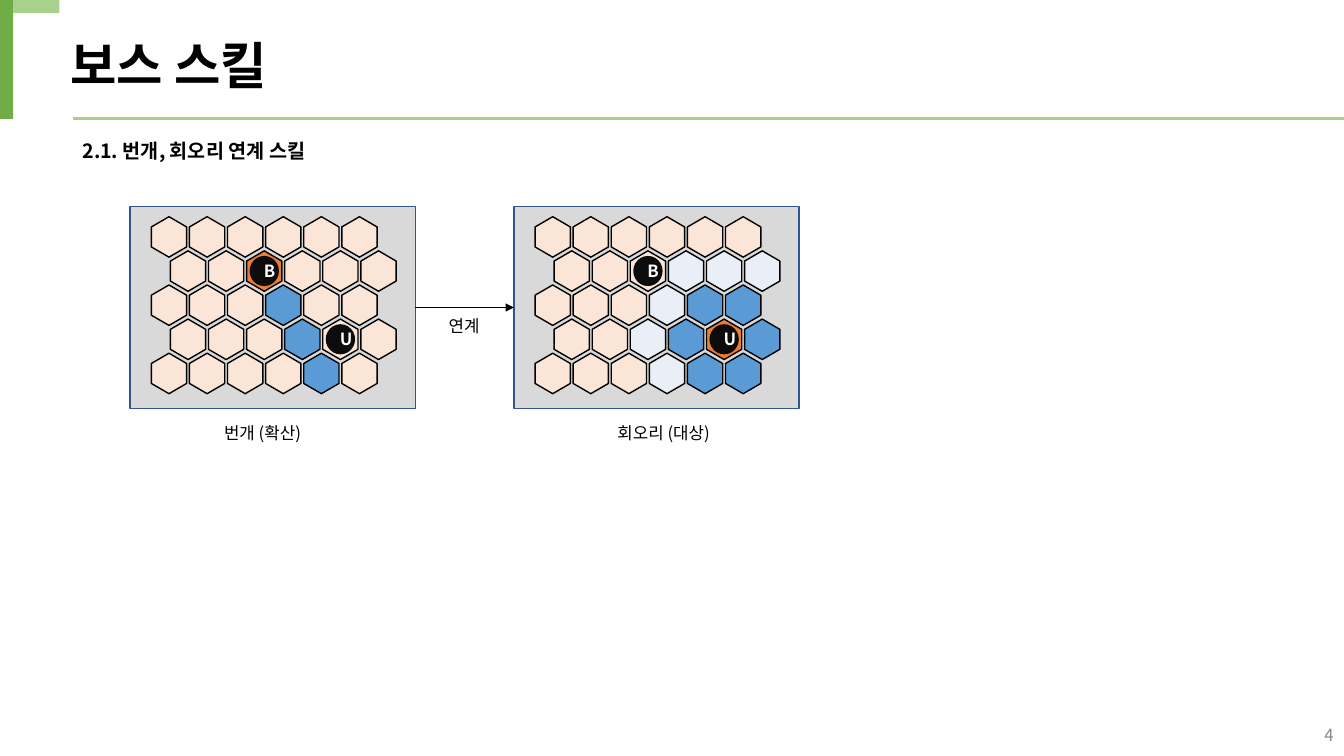
from dataclasses import dataclass

from lxml import etree
from pptx import Presentation
from pptx.dml.color import RGBColor
from pptx.enum.shapes import MSO_CONNECTOR, MSO_SHAPE
from pptx.enum.text import MSO_ANCHOR, PP_ALIGN
from pptx.oxml.ns import qn
from pptx.util import Cm, Pt

RECT, HEX, OVAL = MSO_SHAPE.RECTANGLE, MSO_SHAPE.HEXAGON, MSO_SHAPE.OVAL
STRAIGHT = MSO_CONNECTOR.STRAIGHT
LEFT, CENTER, RIGHT = PP_ALIGN.LEFT, PP_ALIGN.CENTER, PP_ALIGN.RIGHT
TOP, MIDDLE = MSO_ANCHOR.TOP, MSO_ANCHOR.MIDDLE


@dataclass(frozen=True)
class Theme:
    font: str = "Noto Sans CJK KR"
    title: int = 36
    head: int = 14
    body: int = 12
    ink: str = "000000"
    gray: str = "888888"
    white: str = "FFFFFF"
    green: str = "70AD47"
    light: str = "A9D18E"
    board: str = "D9D9D9"
    edge: str = "325491"
    token: str = "0C0C0C"
    plain: str = "FBE5D6"
    hit: str = "5B9BD5"
    pale: str = "EAEFF7"
    cast: str = "ED7D31"


class Painter:
    def __init__(self, slide, theme):
        self.slide = slide
        self.theme = theme

    def style(self, frame, text, size, color, bold=False, align=LEFT, space=None):
        frame.text = text
        for para in frame.paragraphs:
            para.alignment = align
            para.line_spacing = space
            for run in para.runs:
                font = run.font
                font.name, font.size, font.bold = self.theme.font, Pt(size), bold
                font.color.rgb = RGBColor.from_string(color)
                east = etree.SubElement(run._r.get_or_add_rPr(), qn("a:ea"))
                east.set("typeface", self.theme.font)

    def title(self, text, x, y, w, h):
        box = self.slide.shapes.title
        box.left, box.top, box.width, box.height = Cm(x), Cm(y), Cm(w), Cm(h)
        box.text_frame.vertical_anchor = TOP
        self.style(box.text_frame, text, self.theme.title, self.theme.ink, True)

    def text(self, text, x, y, w, h, size, color, anchor=TOP, **look):
        box = self.slide.shapes.add_textbox(Cm(x), Cm(y), Cm(w), Cm(h))
        box.text_frame.word_wrap = True
        box.text_frame.vertical_anchor = anchor
        self.style(box.text_frame, text, size, color, **look)

    def shape(self, kind, x, y, w, h, fill, line=None):
        item = self.slide.shapes.add_shape(kind, Cm(x), Cm(y), Cm(w), Cm(h))
        item.shadow.inherit = False
        item.fill.solid()
        item.fill.fore_color.rgb = RGBColor.from_string(fill)
        if line:
            item.line.color.rgb = RGBColor.from_string(line)
            item.line.width = Pt(1)
        else:
            item.line.fill.background()
        return item

    def line(self, x, y, end, color, width, arrow=False):
        item = self.slide.shapes.add_connector(STRAIGHT, Cm(x), Cm(y), Cm(end), Cm(y))
        item.line.color.rgb = RGBColor.from_string(color)
        item.line.width = Pt(width)
        if arrow:
            tail = etree.SubElement(item.line._get_or_add_ln(), qn("a:tailEnd"))
            tail.set("type", "triangle")
        etree.SubElement(item._element.spPr, qn("a:effectLst"))

    def cell(self, x, y, fill):
        """Hexagon standing on its point, centred at x, y."""
        w, h = 1.02, 0.89
        item = self.shape(HEX, x - w / 2, y - h / 2, w, h, fill, self.theme.ink)
        item.adjustments[0] = 0.29
        item.rotation = 270

    def token(self, x, y, name):
        w, h = 0.74, 0.76
        item = self.shape(OVAL, x - w / 2, y - h / 2, w, h, self.theme.token)
        item.text_frame.vertical_anchor = MIDDLE
        self.style(item.text_frame, name, self.theme.body, self.theme.white,
                   True, CENTER)

    def board(self, x, y, rows, tokens):
        """Odd rows of the hexagon grid shift right by half a step."""
        step, drop = 0.96, 0.86
        fills = {".": self.theme.plain, "#": self.theme.hit,
                 "o": self.theme.pale, "*": self.theme.cast}

        def spot(row, col):
            return x + 0.98 + step * (col + row % 2 / 2), y + 0.76 + drop * row

        self.shape(RECT, x, y, 7.19, 5.08, self.theme.board, self.theme.edge)
        for row, marks in enumerate(rows):
            for col, mark in enumerate(marks):
                self.cell(*spot(row, col), fills[mark])
        for name, place in tokens.items():
            self.token(*spot(*place), name)


# Each board: left edge, cell rows, token places
BOARDS = [
    (3.28, ["......", "..*...", "...#..", "...#..", "....#."]),
    (12.95, ["......", "...ooo", "...o##", "..o#*#", "...o##"]),
]
TOKENS = {"B": (1, 2), "U": (3, 4)}


def main():
    deck = Presentation()
    deck.slide_width, deck.slide_height = Cm(33.87), Cm(19.05)
    theme = Theme()
    art = Painter(deck.slides.add_slide(deck.slide_layouts[5]), theme)

    # Header
    art.line(1.83, 2.98, 33.87, theme.light, 2.25)
    art.shape(RECT, 0, 0, 0.33, 3, theme.green)
    art.shape(RECT, 0.33, 0, 1.17, 0.33, theme.light)
    art.title("보스 스킬", 1.52, 0.74, 26.34, 1.8)
    art.text("2.1. 번개, 회오리 연계 스킬", 1.83, 3.23, 7.72, 0.94,
             theme.head, theme.ink, bold=True, space=1.25)

    # Boards and the link between them
    for left, rows in BOARDS:
        art.board(left, 5.21, rows, TOKENS)
    art.line(10.47, 7.75, 12.95, theme.ink, 0.75, arrow=True)

    # Captions
    for words, x, y, w in [("연계", 10.49, 7.82, 2.41),
                           ("번개 (확산)", 5.28, 10.52, 2.67),
                           ("회오리 (대상)", 14.53, 10.52, 4.39)]:
        art.text(words, x, y, w, 0.76, theme.body, theme.ink, align=CENTER)

    # Page number
    art.text("4", 26.24, 18.01, 7.62, 1.02, theme.body, theme.gray,
             MIDDLE, align=RIGHT)
    deck.save("out.pptx")


if __name__ == "__main__":
    main()
